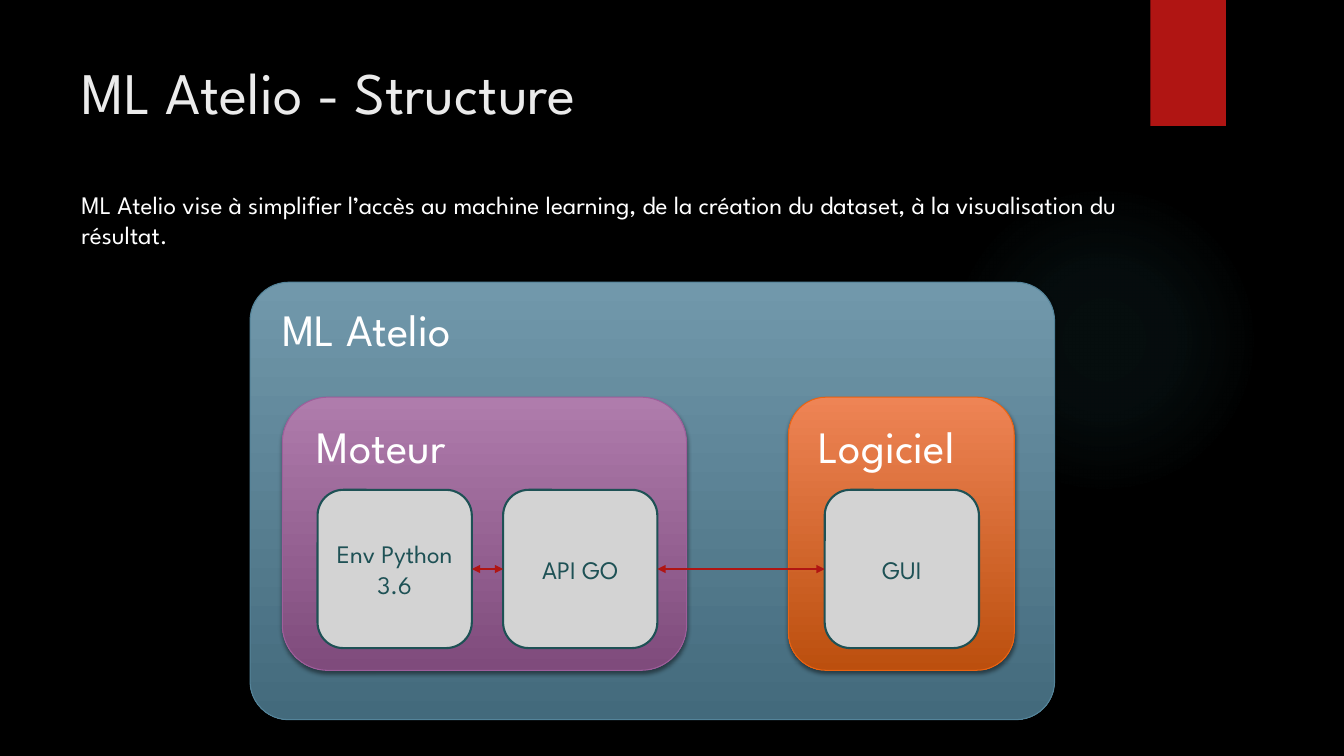
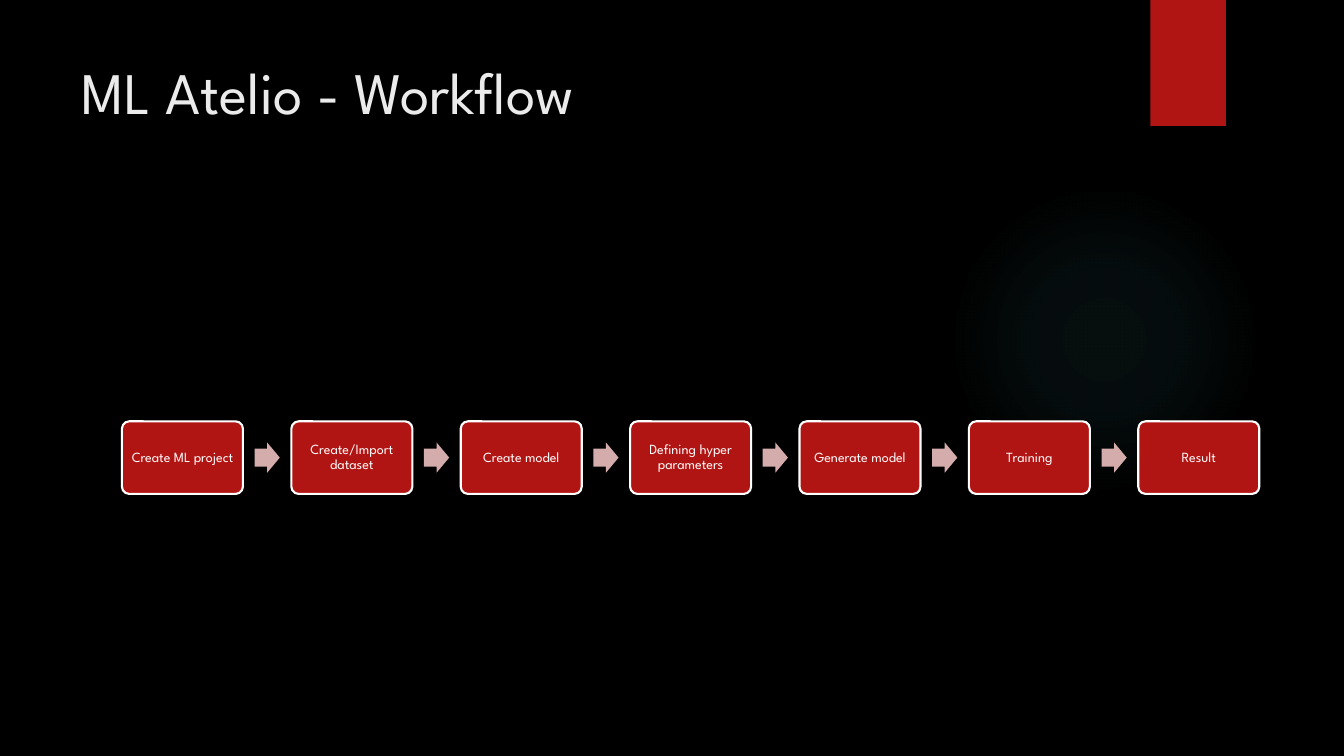
from lxml import etree
from pptx import Presentation
from pptx import util as u
from pptx.dml.color import RGBColor
from pptx.enum import shapes, text
from pptx.oxml import ns, parse_xml

FONT = "League Spartan"
RED, WHITE, TEAL, GREY, PINK = "B01513", "FFFFFF", "1E5155", "D3D3D3", "D4ACAB"
WIDTH, HEIGHT = 13.33, 7.5
MARGIN = 0.71
TITLE_BOX = (MARGIN, 0.5, 10.29, 1.53)
BAND_BOX = (11.41, 0, 0.75, 1.25)
GLOW_BOX = (9.41, 1.83, 3.08, 3.08)
GLOW_COLOR, GLOW_STOPS = "50B9C1", [(0, 7), (36, 6), (69, 0)]

PRODUCT = "ML Atelio"
TITLES = [f"{PRODUCT} - Structure", f"{PRODUCT} - Workflow"]
INTRO = (f"{PRODUCT} vise à simplifier l’accès au machine learning, de la création "
         "du dataset, à la visualisation du résultat.")
INTRO_BOX = (MARGIN, 1.83, 10.6, 0.71)

ROW_TOP, ROW_HEIGHT = 3.94, 2.71
CARD_TOP, CARD_WIDTH, CARD_HEIGHT = 4.86, 1.53, 1.57
PANELS = [
    {"label": PRODUCT, "box": (2.48, 2.8, 7.98, 4.34), "label_at": (2.7, 2.94),
     "colors": ("7198AB", "436A7C"), "line": "54849A", "corner": 0.088},
    {"label": "Logiciel", "box": (7.82, ROW_TOP, 2.24, ROW_HEIGHT), "label_at": (8.02, 4.11),
     "colors": ("EE8455", "BC4F0E"), "line": "EA6312"},
    {"label": "Moteur", "box": (2.8, ROW_TOP, 4.01, ROW_HEIGHT), "label_at": (3.04, 4.11),
     "colors": ("AF7CAC", "7F4B7C"), "line": "9E5E9B"},
]
CARDS = [("Env Python 3.6", 3.15), ("API GO", 4.99), ("GUI", 8.18)]

STEPS = ["Create ML project", "Create/Import dataset", "Create model",
         "Defining hyper parameters", "Generate model", "Training", "Result"]
STEP_LEFT, STEP_WIDTH, STEP_HEIGHT, STEP_PITCH = 1.21, 1.2, 0.72, 1.68
STEP_MIDDLE = 4.54
ARROW_WIDTH, ARROW_HEIGHT = 0.25, 0.3


def color(value):
    return RGBColor.from_string(value)


def inches(box):
    return [u.Inches(length) for length in box]


def apply(target, formats):
    for name, value in formats.items():
        setattr(target, name, value)


def write(shape, words, size, ink, align=text.PP_ALIGN.LEFT,
          anchor=text.MSO_ANCHOR.TOP, wrap=True, inset=None, spacing=None):
    frame = shape.text_frame
    apply(frame, {"text": words, "word_wrap": wrap, "vertical_anchor": anchor,
                  "auto_size": text.MSO_AUTO_SIZE.NONE})
    if inset is not None:
        apply(frame, {f"margin_{side}": u.Inches(inset)
                      for side in ("left", "top", "right", "bottom")})
    paragraph = frame.paragraphs[0]
    apply(paragraph, {"alignment": align, "line_spacing": spacing})
    font = paragraph.runs[0].font
    apply(font, {"name": FONT, "size": u.Pt(size), "bold": False})
    font.color.rgb = color(ink)


def add_box(slide, kind, box, fill, line=None, line_width=0.75, shadow=False, corner=None):
    shape = slide.shapes.add_shape(kind, *inches(box))
    shape.shadow.inherit = False
    if isinstance(fill, tuple):
        shape.fill.gradient()
        shape.fill.gradient_angle = 270
        for stop, value in zip(shape.fill.gradient_stops, fill):
            stop.color.rgb = color(value)
    else:
        shape.fill.solid()
        shape.fill.fore_color.rgb = color(fill)
    if line:
        shape.line.color.rgb = color(line)
        shape.line.width = u.Pt(line_width)
    else:
        shape.line.fill.background()
    if corner is not None:
        shape.adjustments[0] = corner
    if shadow:
        effects = shape.element.spPr.find(ns.qn("a:effectLst"))
        effects.append(parse_xml(
            f'<a:outerShdw {ns.nsdecls("a")} blurRad="{u.Pt(3)}" dist="{u.Pt(2)}" dir="5400000" '
            'rotWithShape="0"><a:srgbClr val="000000"><a:alpha val="45000"/></a:srgbClr></a:outerShdw>'))
    return shape


def add_glow(slide):
    glow = add_box(slide, shapes.MSO_SHAPE.OVAL, GLOW_BOX, GLOW_COLOR)
    stops = "".join(
        f'<a:gs pos="{position * 1000}"><a:srgbClr val="{GLOW_COLOR}">'
        f'<a:alpha val="{alpha * 1000}"/></a:srgbClr></a:gs>' for position, alpha in GLOW_STOPS)
    properties = glow.element.spPr
    properties.replace(properties.find(ns.qn("a:solidFill")), parse_xml(
        f'<a:gradFill {ns.nsdecls("a")}><a:gsLst>{stops}</a:gsLst><a:path path="circle">'
        '<a:fillToRect l="50000" t="50000" r="50000" b="50000"/></a:path></a:gradFill>'))
    return glow


def add_link(slide, start, end):
    link = slide.shapes.add_connector(shapes.MSO_CONNECTOR.STRAIGHT, 0, 0, 0, 0)
    link.begin_connect(start, 3)
    link.end_connect(end, 1)
    link.line.color.rgb = color(RED)
    link.line.width = u.Pt(0.75)
    properties = link.element.spPr
    line = properties.find(ns.qn("a:ln"))
    for tip in ("a:headEnd", "a:tailEnd"):
        etree.SubElement(line, ns.qn(tip), type="triangle")
    etree.SubElement(properties, ns.qn("a:effectLst"))


def style_layout(layout, slide):
    background = layout.slide_master.background.fill
    background.solid()
    background.fore_color.rgb = color("000000")
    decorations = [add_glow(slide),
                   add_box(slide, shapes.MSO_SHAPE.RECTANGLE, BAND_BOX, RED, shadow=True)]
    for decoration in decorations:
        layout.shapes.element.append(decoration.element)


def add_title(slide, words):
    title = slide.shapes.title
    apply(title, dict(zip(("left", "top", "width", "height"), inches(TITLE_BOX))))
    write(title, words, 42, "EBEBEB")


def build_structure(slide):
    rounded = shapes.MSO_SHAPE.ROUNDED_RECTANGLE
    for panel in PANELS:
        add_box(slide, rounded, panel["box"], panel["colors"], panel["line"],
                shadow=True, corner=panel.get("corner"))
        label = slide.shapes.add_textbox(*inches((*panel["label_at"], 2.29, 0.64)))
        write(label, panel["label"], 32, WHITE, wrap=False)
    cards = []
    for words, left in CARDS:
        card = add_box(slide, rounded, (left, CARD_TOP, CARD_WIDTH, CARD_HEIGHT), GREY, TEAL, 1.5)
        write(card, words, 18, TEAL, text.PP_ALIGN.CENTER, text.MSO_ANCHOR.MIDDLE)
        cards.append(card)
    for start, end in zip(cards, cards[1:]):
        add_link(slide, start, end)
    write(slide.shapes.add_textbox(*inches(INTRO_BOX)), INTRO, 18, WHITE)


def build_workflow(slide):
    gap = STEP_PITCH - STEP_WIDTH
    for index, words in enumerate(STEPS):
        left = STEP_LEFT + index * STEP_PITCH
        if index:
            arrow_left = left - (gap + ARROW_WIDTH) / 2
            arrow = add_box(slide, shapes.MSO_SHAPE.RIGHT_ARROW,
                            (arrow_left, STEP_MIDDLE - ARROW_HEIGHT / 2, ARROW_WIDTH, ARROW_HEIGHT),
                            PINK, corner=0.6)
            arrow.adjustments[1] = 0.5
        step = add_box(slide, shapes.MSO_SHAPE.ROUNDED_RECTANGLE,
                       (left, STEP_MIDDLE - STEP_HEIGHT / 2, STEP_WIDTH, STEP_HEIGHT),
                       RED, WHITE, 1.5, corner=0.1)
        write(step, words, 10, WHITE, text.PP_ALIGN.CENTER, text.MSO_ANCHOR.MIDDLE,
              inset=0.04, spacing=0.9)


def main():
    presentation = Presentation()
    presentation.slide_width, presentation.slide_height = inches((WIDTH, HEIGHT))
    layout = presentation.slide_layouts.get_by_name("Title Only")
    slides = [presentation.slides.add_slide(layout) for _ in TITLES]
    style_layout(layout, slides[0])
    for slide, words, build in zip(slides, TITLES, (build_structure, build_workflow)):
        add_title(slide, words)
        build(slide)
    presentation.save("out.pptx")


if __name__ == "__main__":
    main()
